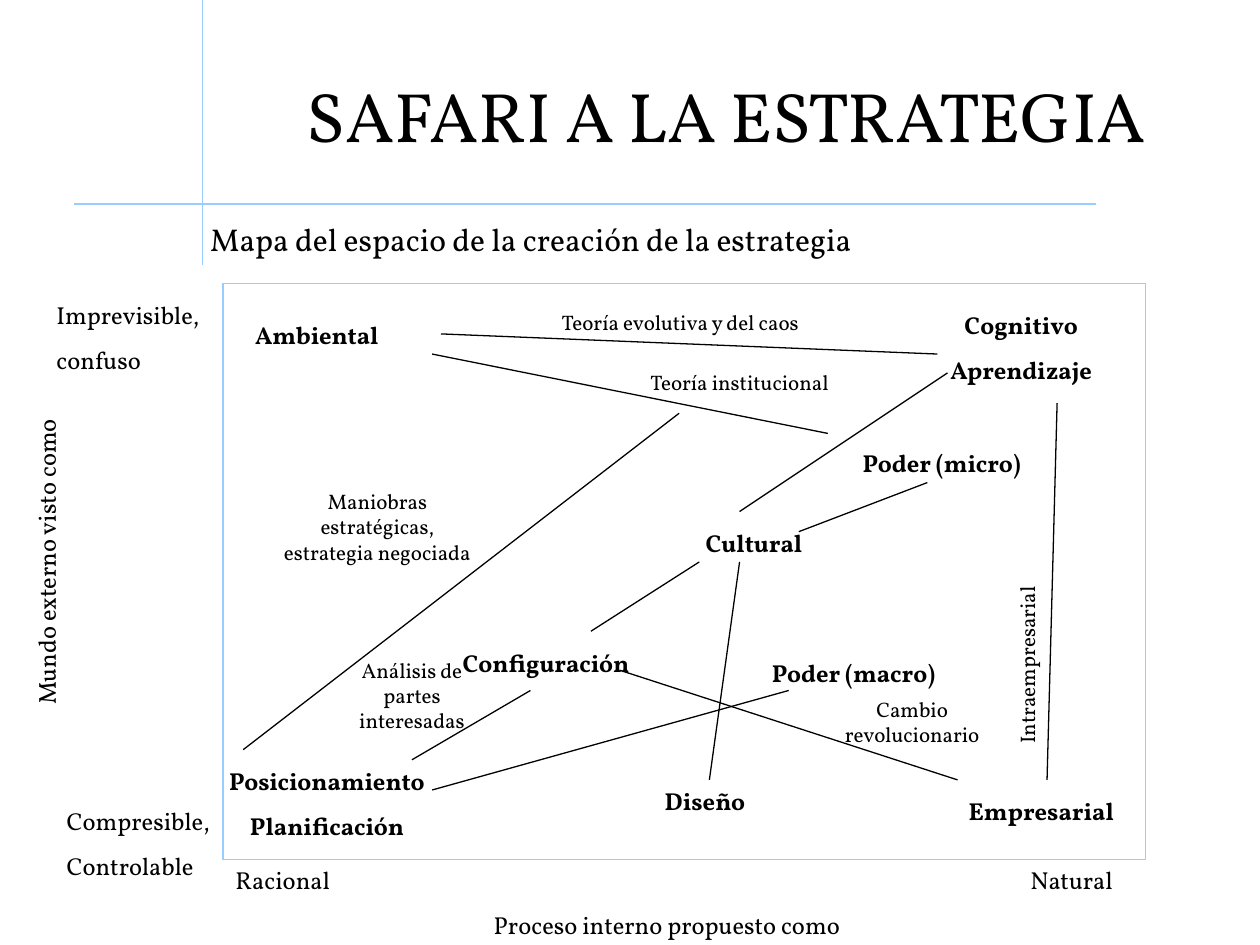
"""Builds the strategy safari slide: a map of the schools of strategy formation."""
from dataclasses import dataclass

from lxml.etree import SubElement
from pptx import Presentation
from pptx.dml.color import RGBColor
from pptx.enum.shapes import MSO_CONNECTOR as Connector, MSO_SHAPE as Shape
from pptx.enum.text import MSO_ANCHOR as Anchor, MSO_AUTO_SIZE as AutoSize, PP_ALIGN as Align
from pptx.oxml.ns import qn
from pptx.slide import Slide
from pptx.text.text import TextFrame
from pptx.util import Emu, Pt

EMU_PER_PX = 9144


@dataclass(frozen=True)
class Theme:
    font: str = "Vollkorn"
    ink: RGBColor = RGBColor(0, 0, 0)
    accent: RGBColor = RGBColor(0x99, 0xCC, 0xFF)
    stroke: float = 0.75
    title: int = 40
    subtitle: int = 18
    body: int = 14
    note: int = 12


THEME = Theme()


@dataclass(frozen=True)
class Label:
    left: int
    top: int
    width: int
    height: int
    lines: tuple[str, ...]
    size: int = THEME.body
    bold: bool = False
    align: Align = Align.LEFT
    rotation: int = 0


@dataclass(frozen=True)
class Stroke:
    x1: int
    y1: int
    x2: int
    y2: int
    color: RGBColor = THEME.ink


def px(value: int) -> Emu:
    """Convert px, at 100 to the inch, into EMU."""
    return Emu(value * EMU_PER_PX)


def school(left: int, top: int, *names: str) -> Label:
    """Describe a bold, centred label naming one or more schools."""
    return Label(left, top, 181, 34 if len(names) == 1 else 69, names, bold=True, align=Align.CENTER)


def note(left: int, top: int, width: int, height: int, text: str) -> Label:
    """Describe a small, centred note beside a link."""
    return Label(left, top, width, height, (text,), THEME.note, align=Align.CENTER)


AXES = (
    Label(157, 170, 843, 40, ("Mapa del espacio de la creación de la estrategia",), THEME.subtitle),
    Label(177, 682, 220, 34, ("Racional",)),
    Label(760, 682, 181, 34, ("Natural",), align=Align.CENTER),
    Label(382, 717, 362, 34, ("Proceso interno propuesto como",)),
    Label(-119, 396, 312, 34, ("Mundo externo visto como",), rotation=270),
    Label(35, 233, 220, 69, ("Imprevisible,", "confuso")),
    Label(43, 635, 220, 69, ("Compresible,", "Controlable")),
)
SCHOOLS = (
    school(161, 249, "Ambiental"),
    school(720, 241, "Cognitivo", "Aprendizaje"),
    school(169, 603, "Posicionamiento", "Planificación"),
    school(587, 517, "Poder (macro)"),
    school(657, 351, "Poder (micro)"),
    school(508, 414, "Cultural"),
    school(343, 509, "Configuración"),
    school(736, 627, "Empresarial"),
    school(469, 619, "Diseño"),
)
NOTES = (
    note(209, 383, 181, 70, "Maniobras estratégicas, estrategia negociada"),
    note(398, 241, 284, 30, "Teoría evolutiva y del caos"),
    note(445, 288, 284, 30, "Teoría institucional"),
    note(657, 548, 134, 50, "Cambio revolucionario"),
    note(272, 517, 110, 70, "Análisis de partes interesadas"),
    Label(659, 429, 312, 30, ("Intraempresarial",), THEME.note, rotation=270),
)
RULES = (
    Stroke(161, 0, 161, 210, THEME.accent),
    Stroke(870, 162, 59, 162, THEME.accent),
)
LINKS = (
    Stroke(193, 595, 539, 328),
    Stroke(343, 281, 657, 344),
    Stroke(350, 265, 744, 281),
    Stroke(587, 406, 752, 296),
    Stroke(634, 422, 736, 383),
    Stroke(492, 532, 760, 619),
    Stroke(469, 501, 555, 446),
    Stroke(327, 603, 421, 548),
    Stroke(831, 619, 839, 320),
    Stroke(343, 627, 626, 548),
    Stroke(563, 619, 587, 446),
)


def write(frame: TextFrame, lines: tuple[str, ...], size: int, bold: bool, align: Align, before: float) -> None:
    """Fill a text frame with one paragraph per line."""
    for index, line in enumerate(lines):
        para = frame.add_paragraph() if index else frame.paragraphs[0]
        para.alignment = align
        para.space_before = Pt(before)
        span = para.add_run()
        span.text = line
        span.font.name = THEME.font
        span.font.size = Pt(size)
        span.font.bold = bold
        span.font.color.rgb = THEME.ink


def draw_title(page: Slide, text: str) -> None:
    """Place and format the title placeholder."""
    title = page.shapes.title
    title.left, title.top, title.width, title.height = px(153), px(28), px(847), px(125)
    title.text_frame.vertical_anchor = Anchor.MIDDLE
    write(title.text_frame, (text,), THEME.title, False, Align.CENTER, 0)


def draw_label(page: Slide, label: Label) -> None:
    """Draw a wrapped text box."""
    box = page.shapes.add_textbox(px(label.left), px(label.top), px(label.width), px(label.height))
    box.rotation = label.rotation
    box.text_frame.word_wrap = True
    box.text_frame.auto_size = AutoSize.SHAPE_TO_FIT_TEXT
    before = round(label.size * 0.625, 1)
    write(box.text_frame, label.lines, label.size, label.bold, label.align, before)


def draw_stroke(page: Slide, stroke: Stroke) -> None:
    """Draw a straight line without a shadow."""
    line = page.shapes.add_connector(
        Connector.STRAIGHT, px(stroke.x1), px(stroke.y1), px(stroke.x2), px(stroke.y2)
    )
    line.line.color.rgb = stroke.color
    line.line.width = Pt(THEME.stroke)
    SubElement(line._element.spPr, qn("a:effectLst"))


def draw_map_frame(page: Slide) -> None:
    """Draw the outline that encloses the map."""
    frame = page.shapes.add_shape(Shape.RECTANGLE, px(177), px(225), px(732), px(457))
    frame.shadow.inherit = False
    frame.fill.background()
    frame.line.color.rgb = THEME.accent
    frame.line.width = Pt(THEME.stroke)


def main() -> None:
    """Build and save the deck."""
    deck = Presentation()
    deck.slide_width, deck.slide_height = px(1000), px(750)
    page = deck.slides.add_slide(deck.slide_layouts[5])
    draw_title(page, "SAFARI A LA ESTRATEGIA")
    draw_map_frame(page)
    for stroke in RULES + LINKS:
        draw_stroke(page, stroke)
    for label in AXES + SCHOOLS + NOTES:
        draw_label(page, label)
    deck.save("out.pptx")


if __name__ == "__main__":
    main()
